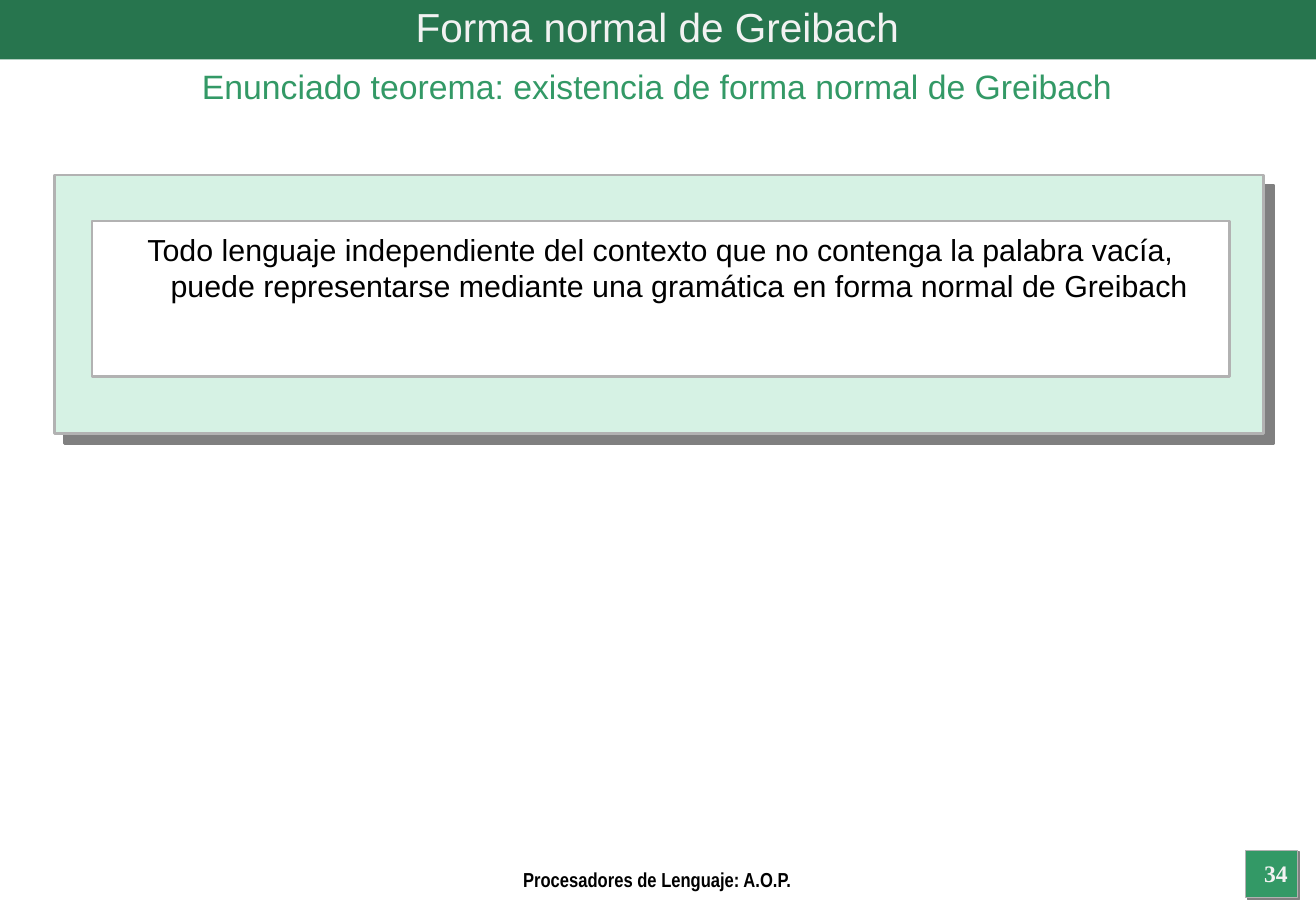
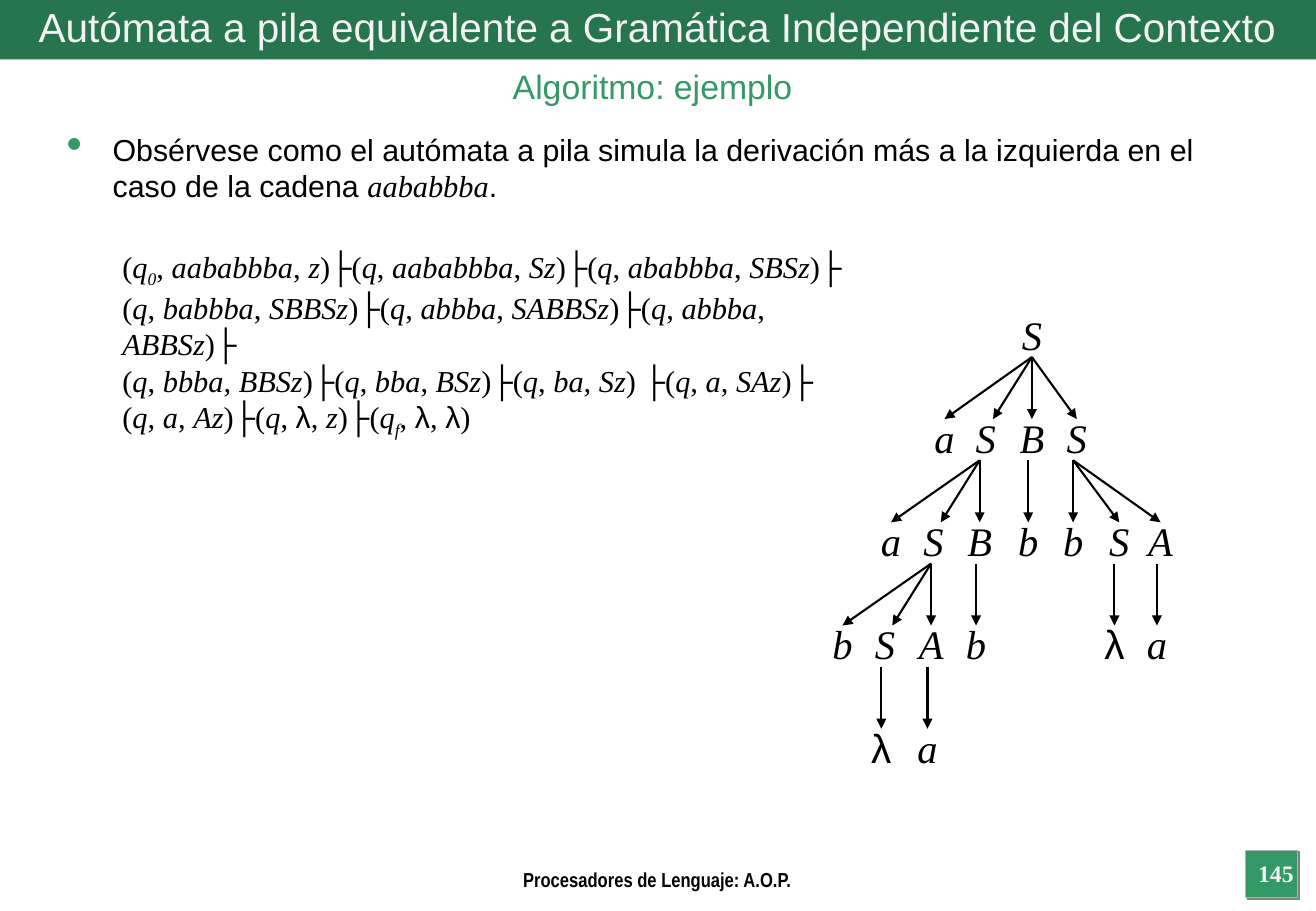
from dataclasses import dataclass, field
from itertools import groupby

from lxml import etree
from pptx import Presentation
from pptx.dml.color import RGBColor
from pptx.enum.shapes import MSO_CONNECTOR, MSO_SHAPE
from pptx.enum.text import MSO_ANCHOR, MSO_AUTO_SIZE, PP_ALIGN
from pptx.oxml.ns import qn
from pptx.util import Inches, Pt

RECTANGLE = MSO_SHAPE.RECTANGLE
STRAIGHT = MSO_CONNECTOR.STRAIGHT
TOP, MIDDLE = MSO_ANCHOR.TOP, MSO_ANCHOR.MIDDLE
FIT_SHAPE, FIXED = MSO_AUTO_SIZE.SHAPE_TO_FIT_TEXT, MSO_AUTO_SIZE.NONE
LEFT, CENTER = PP_ALIGN.LEFT, PP_ALIGN.CENTER
TITLE_ONLY = 5

GREEN, DARK_GREEN, PALE_GREEN = "339966", "27754E", "D6F2E4"
WHITE, OFF_WHITE, BLACK = "FFFFFF", "F2F2F2", "000000"
GRAY, SHADOW_GRAY = "B2B2B2", "808080"
SANS, NARROW, SERIF = "Arial", "Arial Narrow", "Times New Roman"

TITLE = {"size": Pt(24), "name": SANS, "color": OFF_WHITE}
SUBTITLE = {"size": Pt(20), "name": SANS, "color": GREEN}
BODY = {"size": Pt(18), "name": SANS, "color": BLACK}
FORMULA = {"size": Pt(18), "name": SERIF, "color": BLACK}
NODE = {"size": Pt(24), "name": SERIF, "color": BLACK, "italic": True}
FOOTER = {"size": Pt(12), "name": NARROW, "color": BLACK, "bold": True}
NUMBER = {"size": Pt(14), "name": SERIF, "color": OFF_WHITE, "bold": True}


def rgb(value):
    return RGBColor.from_string(value)


def add_element(parent, tag, **attributes):
    return etree.SubElement(parent, qn(tag), attributes)


@dataclass
class Node:
    """A tree symbol centred at x; lean shifts the tip of the arrow to it."""
    symbol: str
    x: float
    children: list = field(default_factory=list)
    lean: float = 0


class Deck:
    def __init__(self, width, height):
        self.file = Presentation()
        self.file.slide_width = Inches(width)
        self.file.slide_height = Inches(height)
        self.page = None

    def add_page(self, title, subtitle, number):
        self.page = self.file.slides.add_slide(self.file.slide_layouts[TITLE_ONLY])
        heading = self.page.shapes.title
        band = self.panel((0, 0, 10.85, 0.49), DARK_GREEN)
        heading.element.addprevious(band.element)
        place = [Inches(length) for length in (0, 0, 10.83, 0.44)]
        heading.left, heading.top, heading.width, heading.height = place
        self.fill_text(heading, [[(title, {})]], TITLE, anchor=MIDDLE)
        self.text((0, 0.49, 10.83, 0.44), [[(subtitle, {})]], SUBTITLE, fit=FIT_SHAPE)
        self.panel((10.26, 7, 0.43, 0.39), GREEN, border=0.75, shadow=1.4)
        self.text((3.01, 7.09, 4.81, 0.18),
                  [[("Procesadores de Lenguaje: A.O.P.", {})]], FOOTER)
        self.text((10.24, 7.02, 0.54, 0.35), [[(str(number), {})]], NUMBER)

    def panel(self, place, fill, border=0, shadow=0):
        """Draw a rectangle; border and shadow distance are in points."""
        shape = self.page.shapes.add_shape(RECTANGLE, *map(Inches, place))
        shape.fill.solid()
        shape.fill.fore_color.rgb = rgb(fill)
        if border:
            shape.line.color.rgb = rgb(GRAY)
            shape.line.width = Pt(border)
        else:
            shape.line.fill.background()
        shape.shadow.inherit = False
        if shadow:
            effects = shape.element.spPr.find(qn("a:effectLst"))
            outer = add_element(effects, "a:outerShdw", blurRad="0",
                                dist=str(int(Pt(shadow))), dir="2700000",
                                algn="ctr", rotWithShape="0")
            add_element(outer, "a:srgbClr", val=SHADOW_GRAY)
        return shape

    def text(self, place, paragraphs, style, **layout):
        box = self.page.shapes.add_textbox(*map(Inches, place))
        self.fill_text(box, paragraphs, style, **layout)

    def fill_text(self, box, paragraphs, style, align=CENTER, anchor=TOP,
                  wrap=True, fit=FIXED, hang=0, bullet=False):
        """Write paragraphs, each a list of (text, format changes)."""
        frame = box.text_frame
        frame.word_wrap = wrap
        frame.auto_size = fit
        frame.vertical_anchor = anchor
        for index, spans in enumerate(paragraphs):
            para = frame.add_paragraph() if index else frame.paragraphs[0]
            para.alignment = align
            if hang:
                self.hang(para, hang, bullet)
            for words, changes in spans:
                self.add_span(para, words, {**style, **changes})

    def hang(self, para, width, bullet):
        properties = para._p.get_or_add_pPr()
        properties.set("marL", str(Inches(width)))
        properties.set("indent", str(-Inches(width)))
        if bullet:
            color = add_element(properties, "a:buClr")
            add_element(color, "a:srgbClr", val=GREEN)
            add_element(properties, "a:buSzPct", val="150000")
            add_element(properties, "a:buChar", char="•")

    def add_span(self, para, words, style):
        span = para.add_run()
        span.text = words
        for name, value in style.items():
            if name == "color":
                span.font.color.rgb = rgb(value)
            elif name == "baseline":
                span._r.get_or_add_rPr().set("baseline", value)
            else:
                setattr(span.font, name, value)

    def arrow(self, start, end):
        line = self.page.shapes.add_connector(STRAIGHT, *map(Inches, start + end))
        line.line.color.rgb = rgb(BLACK)
        line.line.width = Pt(1.25)
        add_element(line.line._get_or_add_ln(), "a:tailEnd", type="triangle")
        add_element(line.element.spPr, "a:effectLst")

    def tree(self, node, top, pitch):
        """Draw a node and its subtree; arrows start above the nearest child."""
        changes = {"name": SANS, "italic": False} if node.symbol == "λ" else {}
        self.text((node.x - 0.2, top, 0.4, 0.5), [[(node.symbol, changes)]],
                  NODE, wrap=False, fit=FIT_SHAPE)
        if not node.children:
            return
        start = min((child.x for child in node.children),
                    key=lambda x: abs(x - node.x))
        for child in node.children:
            self.arrow((start, top + 0.44), (child.x + child.lean, top + pitch + 0.1))
            self.tree(child, top + pitch, pitch)


def formula_spans(line, bold_turnstile):
    """Split a derivation into spans: italic letters, subscripts 0 and f."""
    def char_format(char):
        if char in "0f":
            return {"italic": True, "baseline": "-25000"}
        if char == "λ":
            return {"name": SANS}
        if char == "├" and bold_turnstile:
            return {"bold": True}
        return {"italic": True} if char.isascii() and char.isalpha() else {}

    return [("".join(chars), changes) for changes, chars in groupby(line, char_format)]


DERIVATION = [
    ("(q0, aababbba, z)├(q, aababbba, Sz)├(q, ababbba, SBSz)├", True),
    ("(q, babbba, SBBSz)├(q, abbba, SABBSz)├(q, abbba, ABBSz)├", False),
    ("(q, bbba, BBSz)├(q, bba, BSz)├(q, ba, Sz) ├(q, a, SAz)├", False),
    ("(q, a, Az)├(q, λ, z)├(qf, λ, λ)", True),
]

DERIVATION_TREE = Node("S", 8.5, [
    Node("a", 7.78),
    Node("S", 8.12, [
        Node("a", 7.34),
        Node("S", 7.69, [
            Node("b", 6.94),
            Node("S", 7.29, [Node("λ", 7.26)], lean=0.06),
            Node("A", 7.67, [Node("a", 7.64)]),
        ], lean=0.06),
        Node("B", 8.07, [Node("b", 8.04)]),
    ], lean=0.06),
    Node("B", 8.5, [Node("b", 8.47)]),
    Node("S", 8.87, [
        Node("b", 8.84),
        Node("S", 9.22, [Node("λ", 9.18)]),
        Node("A", 9.56, [Node("a", 9.53)]),
    ]),
])


def theorem_page(deck):
    deck.add_page("Forma normal de Greibach",
                  "Enunciado teorema: existencia de forma normal de Greibach", 34)
    deck.panel((0.45, 1.44, 9.96, 2.13), PALE_GREEN, border=1.5, shadow=8.5)
    deck.panel((0.76, 1.82, 9.37, 1.28), WHITE, border=1.5)
    theorem = ("Todo lenguaje independiente del contexto que no contenga la palabra "
               "vacía, puede representarse mediante una gramática en forma normal "
               "de Greibach")
    deck.text((0.82, 1.85, 9.24, 1.05), [[(theorem, {})]], BODY, hang=0.31)


def example_page(deck):
    deck.add_page("Autómata a pila equivalente a Gramática Independiente del Contexto",
                  "Algoritmo: ejemplo ", 145)
    remark = [
        ("Obsérvese como el autómata a pila simula la derivación más a la "
         "izquierda en el caso de la cadena ", {}),
        ("aababbba", {"name": SERIF, "italic": True}),
        (".", {}),
    ]
    deck.text((0.45, 1.03, 9.96, 5.8), [remark], BODY, align=LEFT,
              hang=0.38, bullet=True)
    deck.text((0.91, 1.99, 6.49, 1.68),
              [formula_spans(line, bold) for line, bold in DERIVATION],
              FORMULA, align=LEFT, wrap=False, fit=FIT_SHAPE)
    deck.tree(DERIVATION_TREE, top=2.5, pitch=0.85)


def main():
    deck = Deck(10.84, 7.5)
    theorem_page(deck)
    example_page(deck)
    deck.file.save("out.pptx")


if __name__ == "__main__":
    main()
